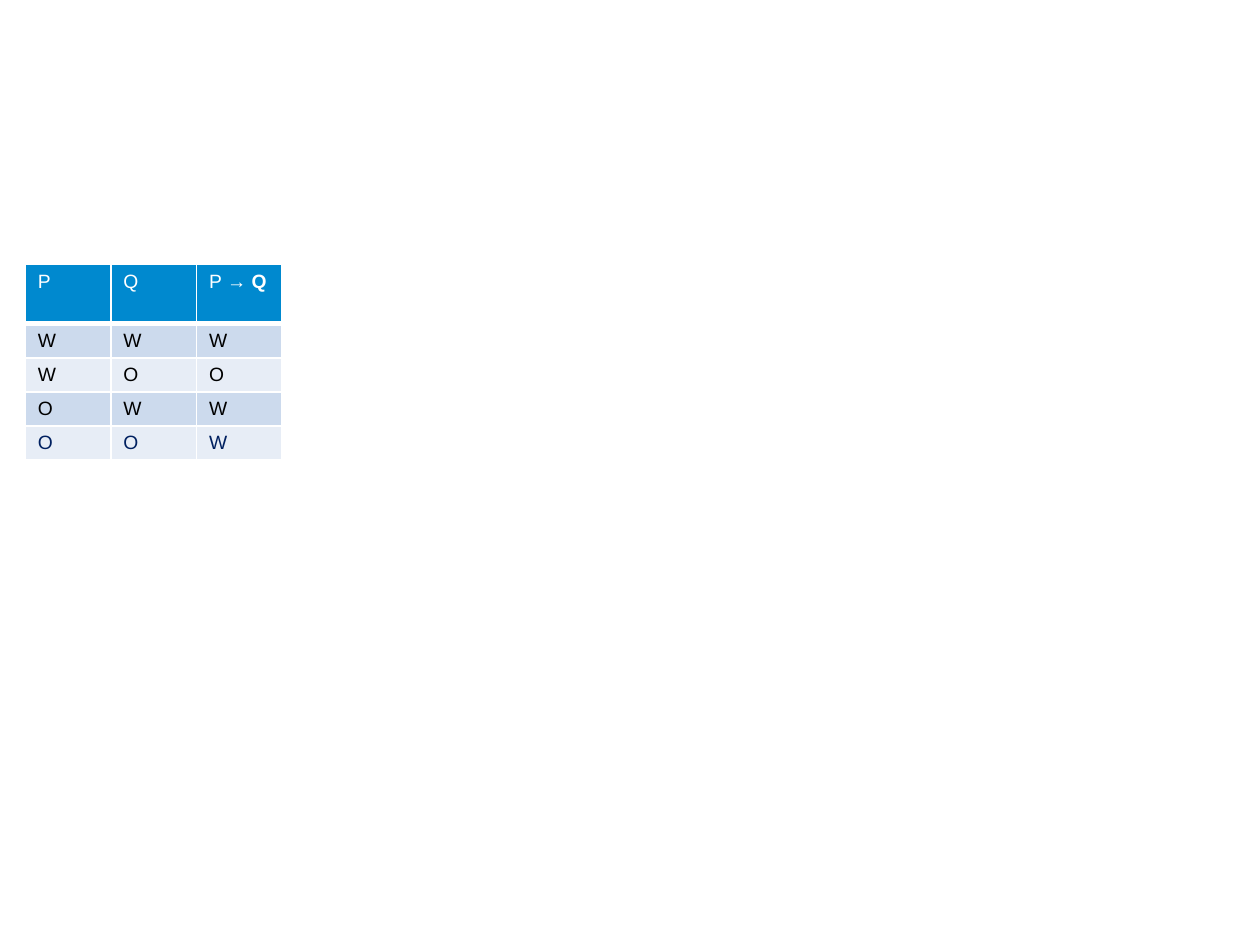
from lxml import etree
from pptx import Presentation
from pptx.dml.color import RGBColor
from pptx.oxml.ns import qn
from pptx.util import Inches, Pt

HEADER = [[("P", False)], [("Q", False)], [("P ", False), ("→ Q", True)]]
TRUTH_VALUES = ["WWW", "WOO", "OWW", "OOW"]
COLORS = {
    "header": "0089CF",
    "bands": ["CCDAED", "E7EDF6"],
    "white": "FFFFFF",
    "black": "000000",
    "navy": "002060",
}
SLIDE_WIDTH, SLIDE_HEIGHT = 10, 7.5
LEFT, TOP = 0.02 * SLIDE_WIDTH, 0.28 * SLIDE_HEIGHT
COLUMN_WIDTH, HEADER_HEIGHT, ROW_HEIGHT = 0.68, 0.47, 0.27
SIDES = ["lnL", "lnR", "lnT", "lnB"]


def write_text(paragraph, text, color, bold=False, size=11, font="Arial"):
    run = paragraph.add_run()
    run.text = text
    run.font.name = font
    run.font.size = Pt(size)
    run.font.bold = bold
    run.font.color.rgb = RGBColor.from_string(color)


def set_borders(cell, bottom_width):
    properties = cell._tc.get_or_add_tcPr()
    for position, side in enumerate(SIDES):
        width = bottom_width if side == "lnB" else 1
        line = etree.Element(qn(f"a:{side}"), w=str(Pt(width)))
        fill = etree.SubElement(line, qn("a:solidFill"))
        etree.SubElement(fill, qn("a:srgbClr"), val=COLORS["white"])
        properties.insert(position, line)


def fill_cell(cell, runs, fill, color, bottom_width=1):
    cell.fill.solid()
    cell.fill.fore_color.rgb = RGBColor.from_string(fill)
    set_borders(cell, bottom_width)
    for text, bold in runs:
        write_text(cell.text_frame.paragraphs[0], text, color, bold=bold)


def main():
    presentation = Presentation()
    presentation.slide_width = Inches(SLIDE_WIDTH)
    presentation.slide_height = Inches(SLIDE_HEIGHT)
    slide = presentation.slides.add_slide(presentation.slide_layouts[6])

    row_heights = [HEADER_HEIGHT] + [ROW_HEIGHT] * len(TRUTH_VALUES)
    shape = slide.shapes.add_table(
        len(row_heights), len(HEADER), Inches(LEFT), Inches(TOP),
        Inches(COLUMN_WIDTH * len(HEADER)), Inches(sum(row_heights)),
    )
    table = shape.table
    for column in table.columns:
        column.width = Inches(COLUMN_WIDTH)
    for row, height in zip(table.rows, row_heights):
        row.height = Inches(height)

    for column, runs in enumerate(HEADER):
        fill_cell(table.cell(0, column), runs, COLORS["header"], COLORS["white"], bottom_width=3)
    for row, values in enumerate(TRUTH_VALUES, start=1):
        color = COLORS["navy"] if row == len(TRUTH_VALUES) else COLORS["black"]
        for column, value in enumerate(values):
            fill_cell(table.cell(row, column), [(value, False)], COLORS["bands"][(row - 1) % 2], color)

    presentation.save("out.pptx")


if __name__ == "__main__":
    main()
